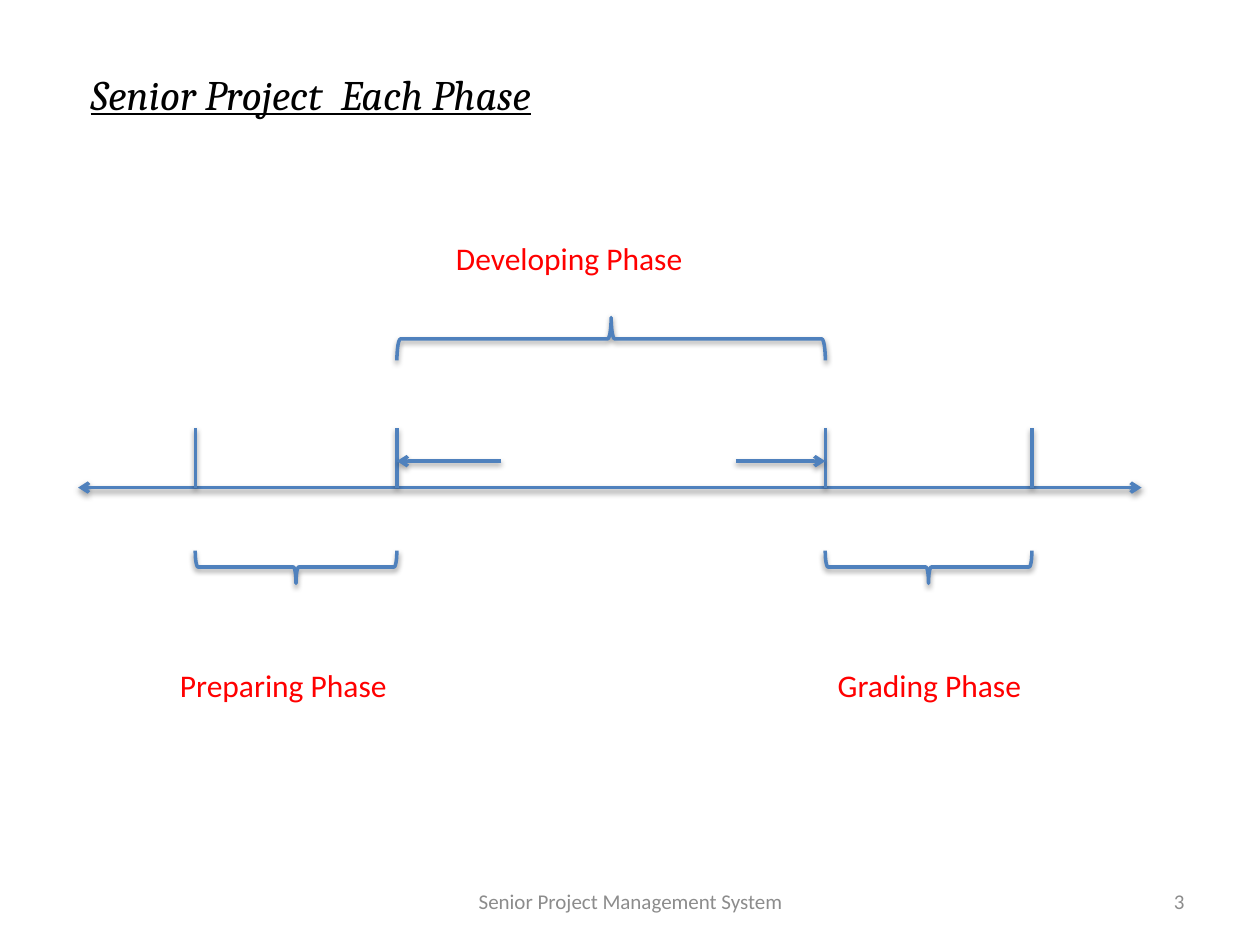
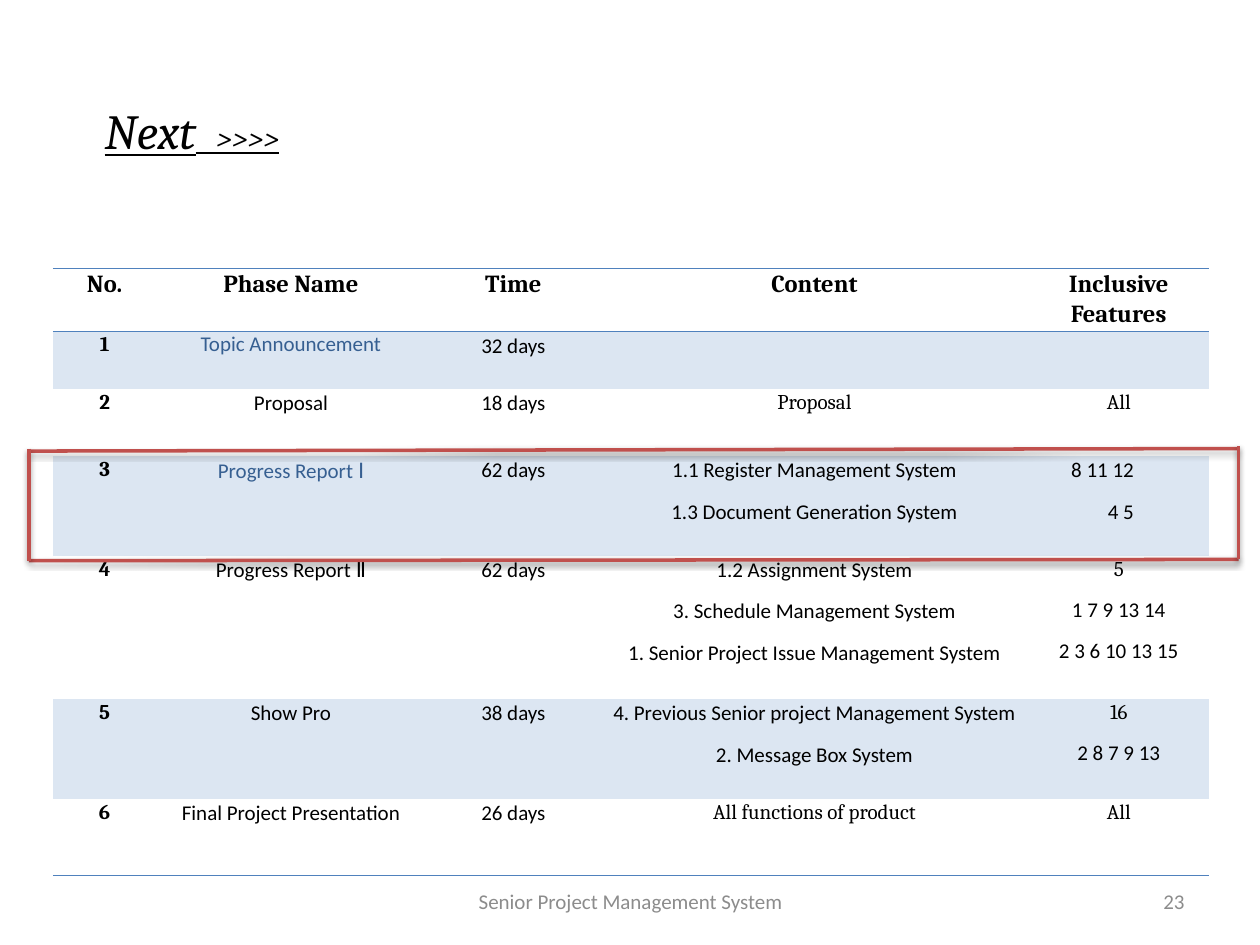
from dataclasses import dataclass
from typing import NamedTuple

import pptx
import pptx.dml.color
import pptx.enum.shapes
import pptx.enum.text
import pptx.oxml
import pptx.oxml.ns
import pptx.util
from pptx.util import Inches

SERIF, SANS, NUMERAL_FONT = "Cambria", "Calibri", "Noto Sans Mono"
BLACK, BLUE, RED, CRIMSON = "000000", "4F81BD", "FF0000", "C0504D"
GREY, NAVY, BAND = "8C8C8C", "365F91", "DCE6F2"
FOOTER = "Senior Project Management System"
NO_STYLE = "{2D5ABB26-0587-4C30-8999-92F81FD0307C}"
DRAWING_NS = pptx.oxml.ns.nsdecls("a")
ALIGN = pptx.enum.text.PP_ALIGN
ANCHOR = pptx.enum.text.MSO_ANCHOR
SHADOW = (f'<a:effectLst {DRAWING_NS}><a:outerShdw blurRad="40000" dist="20000" dir="5400000" '
          'rotWithShape="0"><a:srgbClr val="000000"><a:alpha val="38000"/></a:srgbClr>'
          '</a:outerShdw></a:effectLst>')


class Span(NamedTuple):
    text: str
    size: float


class Line(NamedTuple):
    text: str
    font: str = SANS


class Brace(NamedTuple):
    start: float
    end: float
    middle: float
    depth: float
    rotation: int


class Label(NamedTuple):
    text: str
    left: float
    top: float
    width: float


class Stroke(NamedTuple):
    x1: float
    y1: float
    x2: float
    y2: float
    head: bool = False
    tail: bool = False


@dataclass
class Phase:
    name: str
    days: int
    content: tuple[Line, ...] = ()
    features: tuple[Line, ...] = ()
    numeral: str = ""
    highlighted: bool = False
    features_inset: float = 0


TICKS = (1.55, 3.15, 6.55, 8.19)
AXIS_Y = 3.87
ARROW_Y = 3.66
TIMELINE = [
    Stroke(0.62, AXIS_Y, 9.06, AXIS_Y, head=True, tail=True),
    *(Stroke(x, 3.4, x, AXIS_Y) for x in TICKS),
    Stroke(3.98, ARROW_Y, TICKS[1], ARROW_Y, tail=True),
    Stroke(5.84, ARROW_Y, TICKS[2], ARROW_Y, tail=True),
]
BRACES = [
    Brace(TICKS[0], TICKS[1], 4.5, 0.26, 270),
    Brace(TICKS[1], TICKS[2], 2.69, 0.34, 90),
    Brace(TICKS[2], TICKS[3], 4.5, 0.26, 270),
]
LABELS = [
    Label("Preparing Phase", 1.33, 5.24, 3.65),
    Label("Developing Phase", 3.52, 1.85, 3.65),
    Label("Grading Phase", 6.55, 5.24, 2.51),
]
HEADINGS = ("No.", "Phase Name", "Time", "Content", "Inclusive Features")
COLUMN_WIDTHS = (0.82, 2.14, 1.39, 3.39, 1.44)
ROW_HEIGHTS = (0.49, 0.46, 0.53, 0.79, 1.14, 0.79, 0.61)
PHASES = [
    Phase("Topic Announcement", 32, highlighted=True),
    Phase("Proposal", 18, (Line("Proposal", SERIF),), (Line("All", SERIF),)),
    Phase("Progress Report ", 62,
          (Line("1.1 Register Management System"), Line("1.3 Document Generation System")),
          (Line("8 11 12"), Line("4 5")),
          numeral="Ⅰ", highlighted=True, features_inset=0.6),
    Phase("Progress Report Ⅱ", 62,
          (Line("1.2 Assignment System"), Line("3. Schedule Management System"),
           Line("1. Senior Project Issue Management System")),
          (Line("5", SERIF), Line("1 7 9 13 14"), Line("2 3 6 10 13 15"))),
    Phase("Show Pro", 38,
          (Line("4. Previous Senior project Management System"), Line("2. Message Box System")),
          (Line("16", SERIF), Line("2 8 7 9 13"))),
    Phase("Final Project Presentation", 26,
          (Line("All functions of product", SERIF),), (Line("All", SERIF),)),
]
CURRENT_PHASE_FRAME = [
    Stroke(0.23, 3.58, 9.83, 3.56),
    Stroke(0.23, 4.45, 9.83, 4.44),
    Stroke(0.23, 3.56, 0.23, 4.45),
    Stroke(9.83, 3.54, 9.83, 4.44),
]


def rgb(color: str) -> pptx.dml.color.RGBColor:
    return pptx.dml.color.RGBColor.from_string(color)


def set_font(font, name: str, size: float, color: str, bold: bool = False) -> None:
    font.name, font.size, font.bold = name, pptx.util.Pt(size), bold
    font.color.rgb = rgb(color)


def style_outline(shape, color: str) -> None:
    """Give a connector or shape the deck's line weight and soft shadow."""
    shape.line.color.rgb = rgb(color)
    shape.line.width = pptx.util.Pt(2)
    properties = shape._element.spPr
    for effects in properties.findall(pptx.oxml.ns.qn("a:effectLst")):
        properties.remove(effects)
    properties.append(pptx.oxml.parse_xml(SHADOW))


def add_stroke(page, stroke: Stroke, color: str) -> None:
    connector = page.shapes.add_connector(
        pptx.enum.shapes.MSO_CONNECTOR.STRAIGHT, Inches(stroke.x1), Inches(stroke.y1),
        Inches(stroke.x2), Inches(stroke.y2))
    style_outline(connector, color)
    for tag, shown in (("headEnd", stroke.head), ("tailEnd", stroke.tail)):
        if shown:
            connector.line._get_or_add_ln().append(
                pptx.oxml.parse_xml(f'<a:{tag} {DRAWING_NS} type="arrow"/>'))


def add_brace(page, brace: Brace) -> None:
    """Draw an upright brace and turn it to span start to end."""
    length = brace.end - brace.start
    shape = page.shapes.add_shape(
        pptx.enum.shapes.MSO_SHAPE.LEFT_BRACE,
        Inches((brace.start + brace.end - brace.depth) / 2), Inches(brace.middle - length / 2),
        Inches(brace.depth), Inches(length))
    shape.rotation = brace.rotation
    shape.fill.background()
    style_outline(shape, BLUE)


def add_text(page, label: Label, size: float, color: str, align=ALIGN.LEFT,
             anchor=ANCHOR.TOP) -> None:
    box = page.shapes.add_textbox(
        Inches(label.left), Inches(label.top), Inches(label.width), Inches(0.4))
    box.text_frame.word_wrap = True
    box.text_frame.vertical_anchor = anchor
    para = box.text_frame.paragraphs[0]
    para.text, para.alignment = label.text, align
    set_font(para.font, SANS, size, color)


def add_page(deck, number: int, left: float, top: float, height: float, *title_spans: Span):
    """Add a slide with the shared title style, footer and page number."""
    page = deck.slides.add_slide(deck.slide_layouts[5])
    title = page.shapes.title
    title.left, title.top = Inches(left), Inches(top)
    title.width, title.height = Inches(4.88), Inches(height)
    frame = title.text_frame
    frame.auto_size = pptx.enum.text.MSO_AUTO_SIZE.NONE
    frame.vertical_anchor = ANCHOR.TOP
    para = frame.paragraphs[0]
    para.alignment = ALIGN.LEFT
    for span in title_spans:
        run = para.add_run()
        run.text = span.text
        set_font(run.font, SERIF, span.size, BLACK)
        run.font.italic = run.font.underline = True
    add_text(page, Label(FOOTER, 3.42, 6.95, 3.17), 12, GREY, ALIGN.CENTER, ANCHOR.MIDDLE)
    add_text(page, Label(str(number), 7.17, 6.95, 2.33), 12, GREY, ALIGN.RIGHT, ANCHOR.MIDDLE)
    return page


def fill_cell(cell, lines: tuple[Line, ...], size: float = 12, color: str = BLACK,
              bold: bool = False, align=ALIGN.CENTER) -> None:
    for index, line in enumerate(lines):
        frame = cell.text_frame
        para = frame.add_paragraph() if index else frame.paragraphs[0]
        para.text, para.alignment = line.text, align
        para.line_spacing, para.space_after = 1.07, pptx.util.Pt(8)
        set_font(para.font, line.font, size, color, bold)


def add_rules(cell, *sides: str) -> None:
    for index, side in enumerate(sides):
        cell._tc.get_or_add_tcPr().insert(index, pptx.oxml.parse_xml(
            f'<a:ln{side} {DRAWING_NS} w="12700"><a:solidFill><a:srgbClr val="{BLUE}"/>'
            f'</a:solidFill></a:ln{side}>'))


def fill_phase_row(cells, number: int, phase: Phase) -> None:
    number_cell, name_cell, time_cell, content_cell, features_cell = cells
    fill_cell(number_cell, (Line(str(number), SERIF),), bold=True)
    fill_cell(name_cell, (Line(phase.name),), color=NAVY if phase.highlighted else BLACK)
    name_para = name_cell.text_frame.paragraphs[0]
    if phase.highlighted:
        name_para.line_spacing = 1.0
    if phase.numeral:
        run = name_para.add_run()
        run.text = phase.numeral
        run.font.name = NUMERAL_FONT
    fill_cell(time_cell, (Line(f"{phase.days} days"),))
    fill_cell(content_cell, phase.content)
    fill_cell(features_cell, phase.features,
              align=ALIGN.RIGHT if phase.features_inset else ALIGN.CENTER)
    if phase.features_inset:
        features_cell.margin_right = Inches(phase.features_inset)


def add_phase_table(page) -> None:
    table = page.shapes.add_table(
        len(ROW_HEIGHTS), len(COLUMN_WIDTHS), Inches(0.42), Inches(2.13),
        Inches(sum(COLUMN_WIDTHS)), Inches(sum(ROW_HEIGHTS))).table
    table.first_row = table.horz_banding = False
    table._tbl.tblPr.find(pptx.oxml.ns.qn("a:tableStyleId")).text = NO_STYLE
    for column, width in zip(table.columns, COLUMN_WIDTHS):
        column.width = Inches(width)
    for index, (row, height) in enumerate(zip(table.rows, ROW_HEIGHTS)):
        row.height = Inches(height)
        for cell in row.cells:
            cell.margin_left = cell.margin_right = Inches(0.07)
            cell.margin_top = cell.margin_bottom = 0
            if index % 2:
                cell.fill.solid()
                cell.fill.fore_color.rgb = rgb(BAND)
            else:
                cell.fill.background()
    for cell, heading in zip(table.rows[0].cells, HEADINGS):
        fill_cell(cell, (Line(heading, SERIF),), size=14, bold=True)
        add_rules(cell, "T", "B")
    for number, phase in enumerate(PHASES, start=1):
        fill_phase_row(table.rows[number].cells, number, phase)
    for cell in table.rows[len(PHASES)].cells:
        add_rules(cell, "B")


def build_timeline_page(deck) -> None:
    page = add_page(deck, 3, 0.62, 0.49, 0.5, Span("Senior Project  Each Phase", 24))
    for stroke in TIMELINE:
        add_stroke(page, stroke, BLUE)
    for brace in BRACES:
        add_brace(page, brace)
    for label in LABELS:
        add_text(page, label, 18, RED)


def build_next_page(deck) -> None:
    page = add_page(deck, 23, 0.73, 0.75, 0.57, Span("Next", 28), Span("   >>>>", 18))
    add_phase_table(page)
    for stroke in CURRENT_PHASE_FRAME:
        add_stroke(page, stroke, CRIMSON)


def main() -> None:
    deck = pptx.Presentation()
    deck.slide_width, deck.slide_height = Inches(10), Inches(7.5)
    build_timeline_page(deck)
    build_next_page(deck)
    deck.save("out.pptx")


if __name__ == "__main__":
    main()
